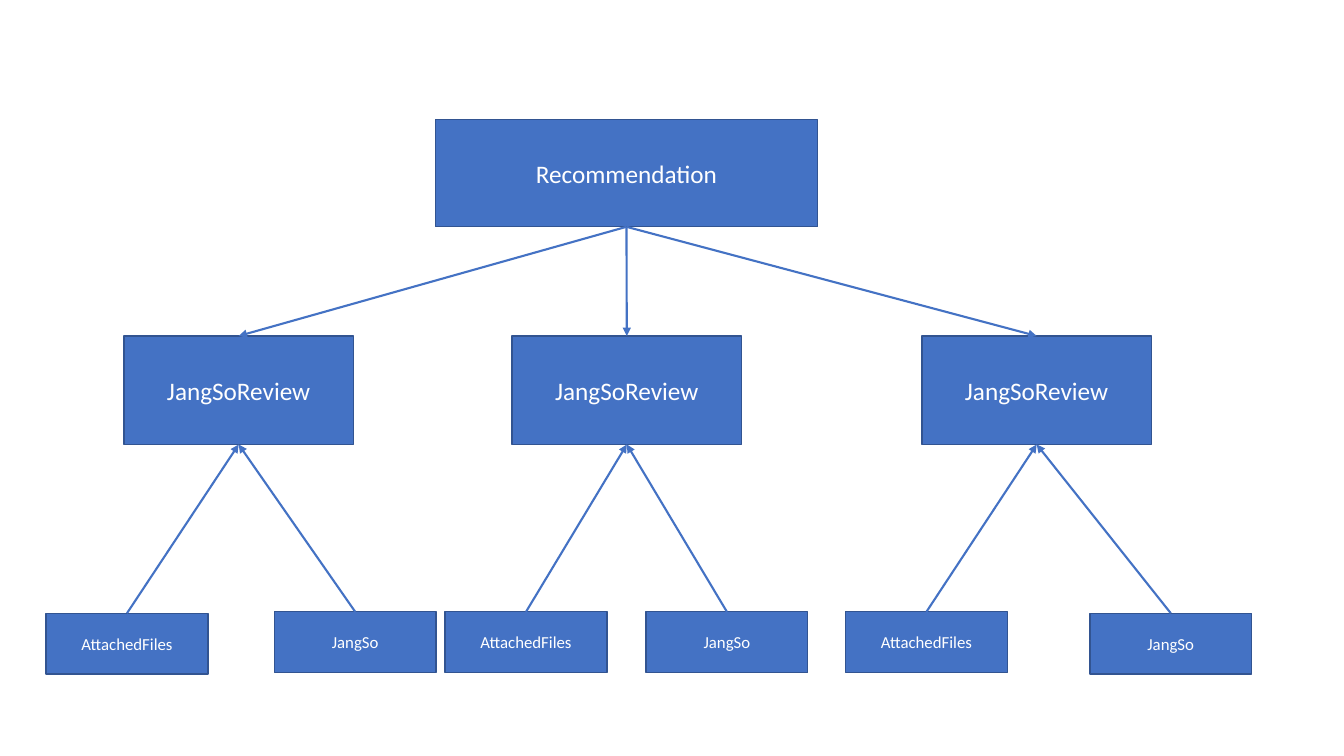
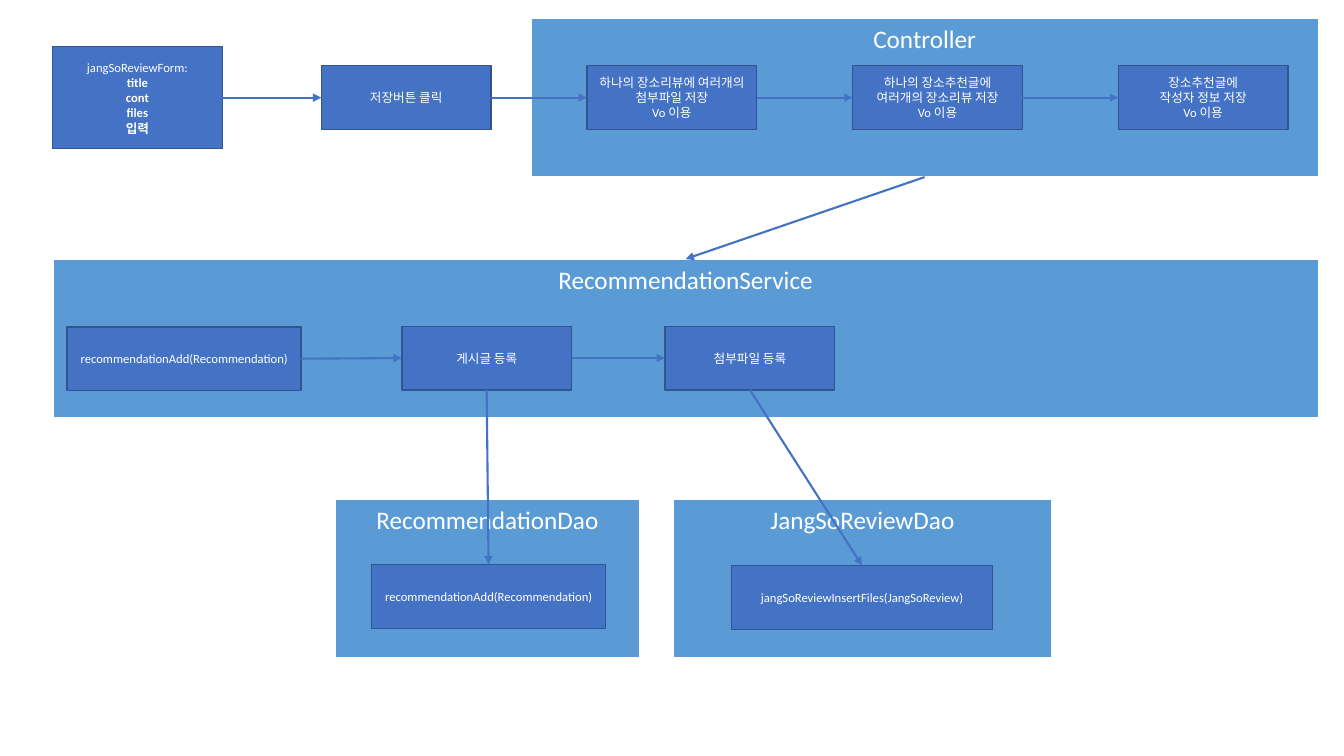
from dataclasses import dataclass

from pptx import Presentation
from pptx.dml.color import RGBColor
from pptx.enum.shapes import MSO_CONNECTOR, MSO_SHAPE
from pptx.enum.text import MSO_ANCHOR, PP_ALIGN
from pptx.oxml.ns import qn
from pptx.util import Pt
from lxml import etree

RECTANGLE = MSO_SHAPE.RECTANGLE
STRAIGHT = MSO_CONNECTOR.STRAIGHT
MIDDLE, TOP_ANCHOR = MSO_ANCHOR.MIDDLE, MSO_ANCHOR.TOP
CENTER = PP_ALIGN.CENTER
# Connection sites of a rectangle
TOP, LEFT, BOTTOM, RIGHT = range(4)
BLANK_LAYOUT = 6


@dataclass(frozen=True)
class Theme:
    font: str = "Calibri"
    text: RGBColor = RGBColor(0xFF, 0xFF, 0xFF)
    box: RGBColor = RGBColor(0x44, 0x72, 0xC4)
    box_edge: RGBColor = RGBColor(0x32, 0x54, 0x91)
    panel: RGBColor = RGBColor(0x5B, 0x9B, 0xD5)
    panel_edge: RGBColor = RGBColor(0xFF, 0xFF, 0xFF)
    large: int = 18
    medium: int = 12
    small: int = 9
    thin: float = 1
    thick: float = 1.5


class Diagram:
    """Draws boxes, panels and arrows on the current slide."""

    def __init__(self, deck, theme):
        self.deck = deck
        self.theme = theme
        self.page = None

    def new_page(self):
        self.page = self.deck.slides.add_slide(self.deck.slide_layouts[BLANK_LAYOUT])

    def rectangle(self, text, bounds, fill, edge, weight, size, anchor):
        shape = self.page.shapes.add_shape(RECTANGLE, *map(Pt, bounds))
        shape.shadow.inherit = False
        shape.fill.solid()
        shape.fill.fore_color.rgb = fill
        shape.line.color.rgb = edge
        shape.line.width = Pt(weight)
        frame = shape.text_frame
        frame.word_wrap = True
        frame.vertical_anchor = anchor
        frame.text = text
        for para in frame.paragraphs:
            para.alignment = CENTER
            for span in para.runs:
                span.font.name = self.theme.font
                span.font.size = Pt(size)
                span.font.color.rgb = self.theme.text
        return shape

    def box(self, text, bounds, size):
        style = self.theme
        return self.rectangle(text, bounds, style.box, style.box_edge,
                              style.thin, size, MIDDLE)

    def panel(self, text, bounds):
        style = self.theme
        return self.rectangle(text, bounds, style.panel, style.panel_edge,
                              style.thick, style.large, TOP_ANCHOR)

    def arrow(self, start, start_site, end, end_site):
        line = self.page.shapes.add_connector(STRAIGHT, 0, 0, 0, 0)
        line.begin_connect(start, start_site)
        line.end_connect(end, end_site)
        line.line.color.rgb = self.theme.box
        line.line.width = Pt(self.theme.thick)
        properties = line._element.spPr
        outline = properties.find(qn("a:ln"))
        etree.SubElement(outline, qn("a:tailEnd"), type="triangle")
        etree.SubElement(properties, qn("a:effectLst"))

    def chain(self, boxes):
        for start, end in zip(boxes, boxes[1:]):
            self.arrow(start, RIGHT, end, LEFT)


def build_object_tree(diagram):
    theme = diagram.theme
    diagram.new_page()
    root = diagram.box("Recommendation", (311, 85.5, 273, 76.5), theme.large)

    # Each review: its left edge, then left and top of its two parts
    branches = [
        (88.5, (33, 438), (196, 437)),
        (365.75, (318, 437), (461.5, 437)),
        (658.5, (604, 437), (778.5, 438)),
    ]
    for review_left, *corners in branches:
        review = diagram.box("JangSoReview", (review_left, 240, 164, 77.5), theme.large)
        diagram.arrow(root, BOTTOM, review, TOP)
        for name, corner in zip(("AttachedFiles", "JangSo"), corners):
            part = diagram.box(name, (*corner, 115.5, 43.5), theme.medium)
            diagram.arrow(part, TOP, review, BOTTOM)


def build_save_flow(diagram):
    small = diagram.theme.small
    step_width, step_height, panel_height = 121.25, 45.5, 113.5
    call_width = 167
    diagram.new_page()

    # Layer panels
    controller = diagram.panel("Controller", (379, 13, 563, panel_height))
    service = diagram.panel("RecommendationService", (37.5, 185, 904.5, panel_height))
    diagram.panel("RecommendationDao", (239, 356.5, 218.5, panel_height))
    diagram.panel("JangSoReviewDao", (480.5, 356.5, 271, panel_height))

    # Form and controller steps
    form = diagram.box("jangSoReviewForm:\ntitle\ncont\nfiles\n입력",
                       (37.5, 33.25, step_width, 73), small)
    for para in form.text_frame.paragraphs[1:]:
        para.runs[0].font.bold = True
    step_texts = [
        "저장버튼 클릭",
        "하나의 장소리뷰에 여러개의 첨부파일 저장\nVo 이용",
        "하나의 장소추천글에 여러개의 장소리뷰 저장\nVo 이용",
        "장소추천글에\n작성자 정보 저장\nVo 이용",
    ]
    steps = [
        diagram.box(text, (229.5 + 189.75 * index, 47, step_width, step_height), small)
        for index, text in enumerate(step_texts)
    ]
    diagram.chain([form, *steps])

    # Service steps
    add_call = "recommendationAdd(Recommendation)"
    entry = diagram.box(add_call, (48, 233.5, call_width, step_height), small)
    post, files = [
        diagram.box(text, (left, 233, step_width, step_height), small)
        for text, left in (("게시글 등록", 287), ("첨부파일 등록", 475))
    ]
    diagram.chain([entry, post, files])

    # Data access calls
    post_call = diagram.box(add_call, (265.5, 403.25, call_width, step_height), small)
    files_call = diagram.box("jangSoReviewInsertFiles(JangSoReview)",
                             (522.5, 404, 186.5, step_height), small)
    for start, end in ((post, post_call), (files, files_call), (controller, service)):
        diagram.arrow(start, BOTTOM, end, TOP)


deck = Presentation()
deck.slide_width, deck.slide_height = Pt(960), Pt(540)
diagram = Diagram(deck, Theme())
build_object_tree(diagram)
build_save_flow(diagram)
deck.save("out.pptx")
